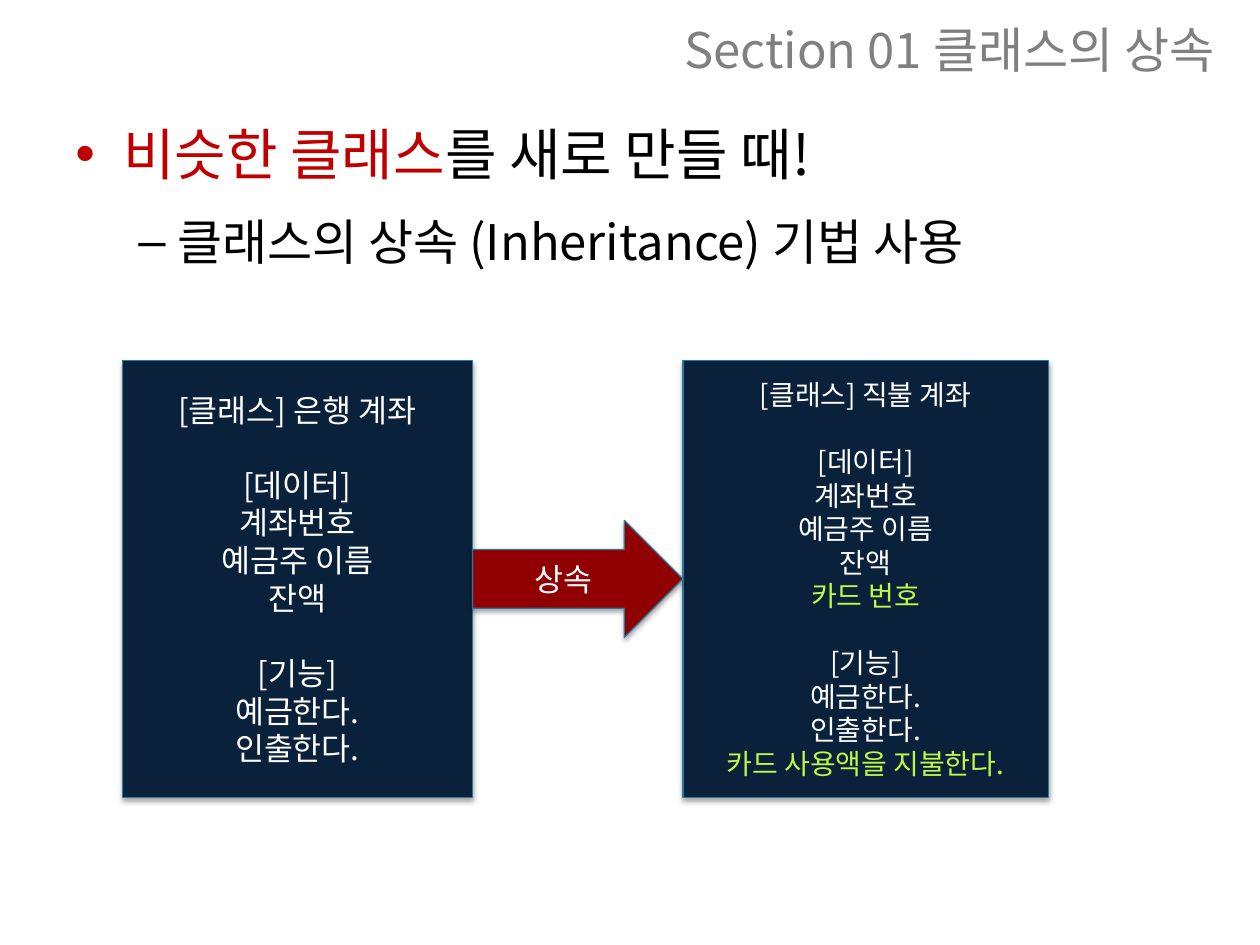
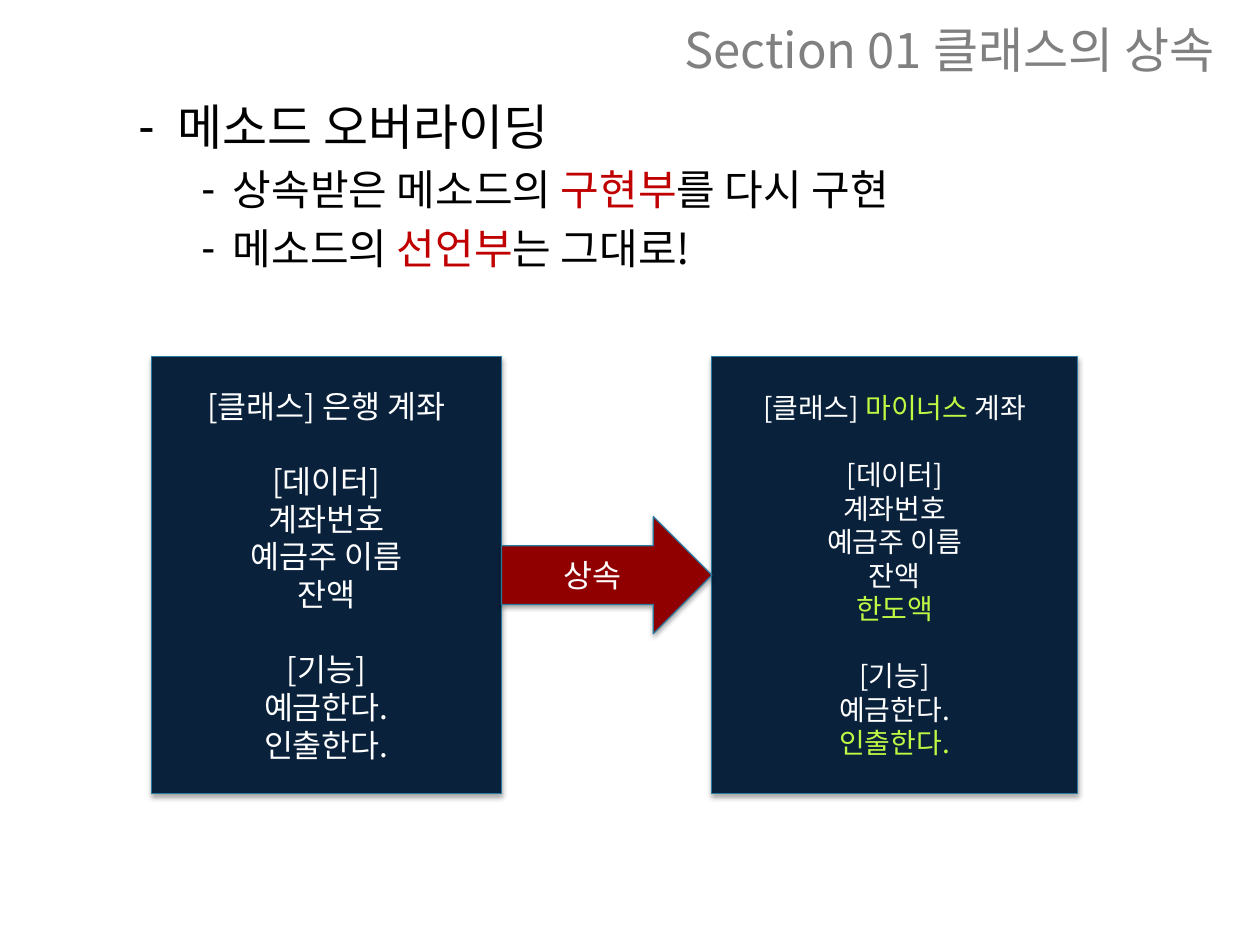
import pptx
import pptx.util
import pptx.dml.color
import pptx.enum.shapes
import pptx.enum.text
import pptx.oxml.ns
from lxml import etree

Inches = pptx.util.Inches
Pt = pptx.util.Pt
RGB = pptx.dml.color.RGBColor
SHAPES = pptx.enum.shapes.MSO_SHAPE
ALIGN = pptx.enum.text.PP_ALIGN
ANCHOR = pptx.enum.text.MSO_ANCHOR
qn = pptx.oxml.ns.qn

GREY = RGB(0x80, 0x80, 0x80)
BLACK = RGB(0, 0, 0)
WHITE = RGB(0xFF, 0xFF, 0xFF)
RED = RGB(0xC0, 0, 0)
DARK_RED = RGB(0x90, 0, 0)
NAVY = RGB(0x09, 0x21, 0x3B)
TEAL = RGB(0x28, 0x7A, 0x9E)
LIME = RGB(0xBF, 0xF9, 0x44)

FONT = "Noto Sans CJK KR"
ARROW_FONT = "Calibri"
LINE_RATIO = 1.196
TITLE_WIDTH, TITLE_HEIGHT = 4.93, 0.78
CARD_HEIGHT = 3.47
PARENT_WIDTH, CHILD_WIDTH = 2.78, 2.9
ARROW_WIDTH, ARROW_HEIGHT = 1.67, 0.93

# Outline levels: text size, left margin and hanging indent in inches
LEVELS = [(32, 0.38, -0.38), (28, 0.81, -0.31), (24, 1.25, -0.25)]

DATA = ["[데이터]", "계좌번호", "예금주 이름", "잔액"]
ABILITIES = ["[기능]", "예금한다."]
WITHDRAW = "인출한다."
PARENT = [["[클래스] 은행 계좌"], DATA, ABILITIES + [WITHDRAW]]


def write_spans(para, text, size, color, accent, font=FONT):
    """Fill a paragraph; stretches between asterisks take the accent colour."""
    for index, part in enumerate(text.split("*")):
        if not part:
            continue
        span = para.add_run()
        span.text = part
        span.font.size = Pt(size)
        span.font.name = font
        span.font.color.rgb = accent if index % 2 else color
        east_asian = etree.SubElement(span.font._element, qn("a:ea"))
        east_asian.set("typeface", FONT)


def next_para(frame, index):
    """Return the first paragraph of a frame, or a new one after it."""
    return frame.add_paragraph() if index else frame.paragraphs[0]


def add_page(deck):
    """Add a title-only slide with the section title at the top right."""
    page = deck.slides.add_slide(deck.slide_layouts[5])
    title = page.shapes.title
    title.left = deck.slide_width - Inches(TITLE_WIDTH)
    title.top = 0
    title.width, title.height = Inches(TITLE_WIDTH), Inches(TITLE_HEIGHT)
    frame = title.text_frame
    frame.word_wrap = True
    frame.auto_size = pptx.enum.text.MSO_AUTO_SIZE.NONE
    frame.vertical_anchor = ANCHOR.MIDDLE
    para = frame.paragraphs[0]
    para.alignment = ALIGN.CENTER
    write_spans(para, "Section 01 클래스의 상속", 28, GREY, GREY)
    return page


def add_outline(page, top, height, items):
    """Add bulleted text; items are (level, bullet, line height, text)."""
    box = page.shapes.add_textbox(Inches(0.5), Inches(top), Inches(9), Inches(height))
    frame = box.text_frame
    frame.word_wrap = True
    for index, (level, bullet, line_height, text) in enumerate(items):
        size, margin, indent = LEVELS[level]
        para = next_para(frame, index)
        para.level = level
        para.line_spacing = Pt(line_height)
        if index:
            para.space_before = Pt(size * 0.2)
        write_spans(para, text, size, BLACK, RED)
        properties = para._p.get_or_add_pPr()
        properties.set("marL", str(Inches(margin)))
        properties.set("indent", str(Inches(indent)))
        etree.SubElement(properties, qn("a:buFont")).set("typeface", "Arial")
        etree.SubElement(properties, qn("a:buChar")).set("char", bullet)


def add_shadow(shape):
    """Give a shape a soft shadow straight below it."""
    shape.shadow.inherit = False
    effects = shape._element.spPr.find(qn("a:effectLst"))
    shadow = etree.SubElement(effects, qn("a:outerShdw"), blurRad=str(Pt(3.1)),
                              dist=str(Pt(1.8)), dir="5400000", rotWithShape="0")
    color = etree.SubElement(shadow, qn("a:srgbClr"), val="000000")
    etree.SubElement(color, qn("a:alpha"), val="35000")


def add_block(page, kind, left, top, width, height, fill, groups, size, font=FONT):
    """Add a filled shape whose centred lines fall into spaced groups."""
    shape = page.shapes.add_shape(kind, Inches(left), Inches(top), Inches(width), Inches(height))
    shape.fill.solid()
    shape.fill.fore_color.rgb = fill
    shape.line.color.rgb = TEAL
    shape.line.width = Pt(0.75)
    add_shadow(shape)
    frame = shape.text_frame
    frame.word_wrap = True
    frame.vertical_anchor = ANCHOR.MIDDLE
    lines = [(row, text) for group in groups for row, text in enumerate(group)]
    for index, (row, text) in enumerate(lines):
        para = next_para(frame, index)
        para.alignment = ALIGN.CENTER
        para.line_spacing = Pt(size * LINE_RATIO)
        if index and row == 0:
            para.space_before = Pt(size * LINE_RATIO)
        write_spans(para, text, size, WHITE, LIME, font)


def add_inheritance(page, left, top, child):
    """Draw the parent class, the child class and the arrow between them."""
    arrow_left = left + PARENT_WIDTH
    arrow_top = top + (CARD_HEIGHT - ARROW_HEIGHT) / 2
    add_block(page, SHAPES.RECTANGLE, arrow_left + ARROW_WIDTH, top,
              CHILD_WIDTH, CARD_HEIGHT, NAVY, child, 16)
    add_block(page, SHAPES.RECTANGLE, left, top,
              PARENT_WIDTH, CARD_HEIGHT, NAVY, PARENT, 18)
    add_block(page, SHAPES.RIGHT_ARROW, arrow_left, arrow_top,
              ARROW_WIDTH, ARROW_HEIGHT, DARK_RED, [["상속"]], 18, ARROW_FONT)


def main():
    """Build both slides and save the deck."""
    deck = pptx.Presentation()
    deck.slide_width, deck.slide_height = Inches(10), Inches(7.5)

    page = add_page(deck)
    add_outline(page, 0.78, 5.71, [
        (0, "•", 47, "*비슷한 클래스*를 새로 만들 때!"),
        (1, "–", 42, "클래스의 상속 (Inheritance) 기법 사용"),
    ])
    add_inheritance(page, 0.97, 2.86, [
        ["[클래스] 직불 계좌"],
        DATA + ["*카드 번호*"],
        ABILITIES + [WITHDRAW, "*카드 사용액을 지불한다.*"],
    ])

    page = add_page(deck)
    add_outline(page, 0.7, 6.61, [
        (1, "-", 35, "메소드 오버라이딩"),
        (2, "-", 28.7, "상속받은 메소드의 *구현부*를 다시 구현"),
        (2, "-", 28.7, "메소드의 *선언부*는 그대로!"),
    ])
    add_inheritance(page, 1.2, 2.83, [
        ["[클래스] *마이너스* 계좌"],
        DATA + ["*한도액*"],
        ABILITIES + [f"*{WITHDRAW}*"],
    ])

    deck.save("out.pptx")


main()
